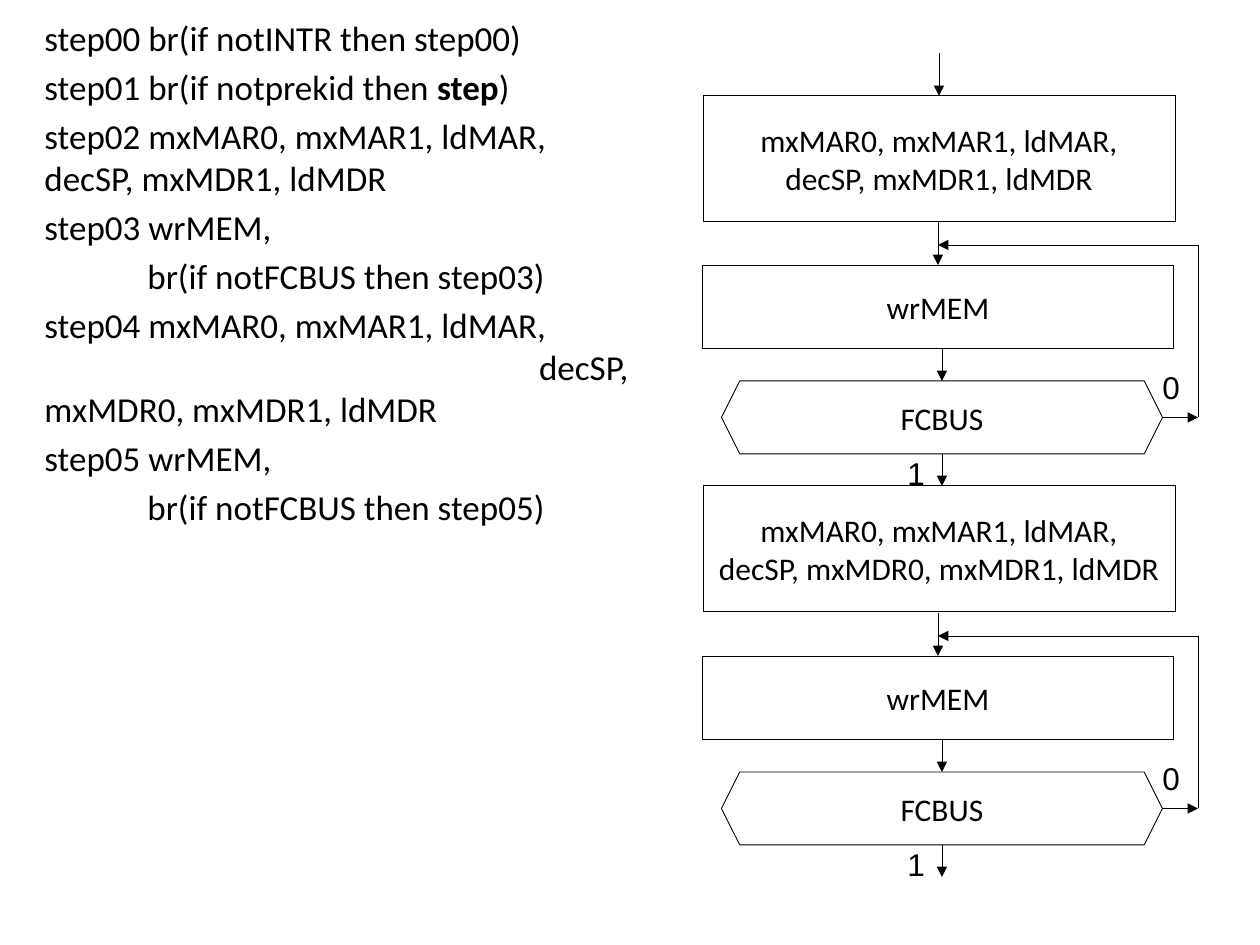
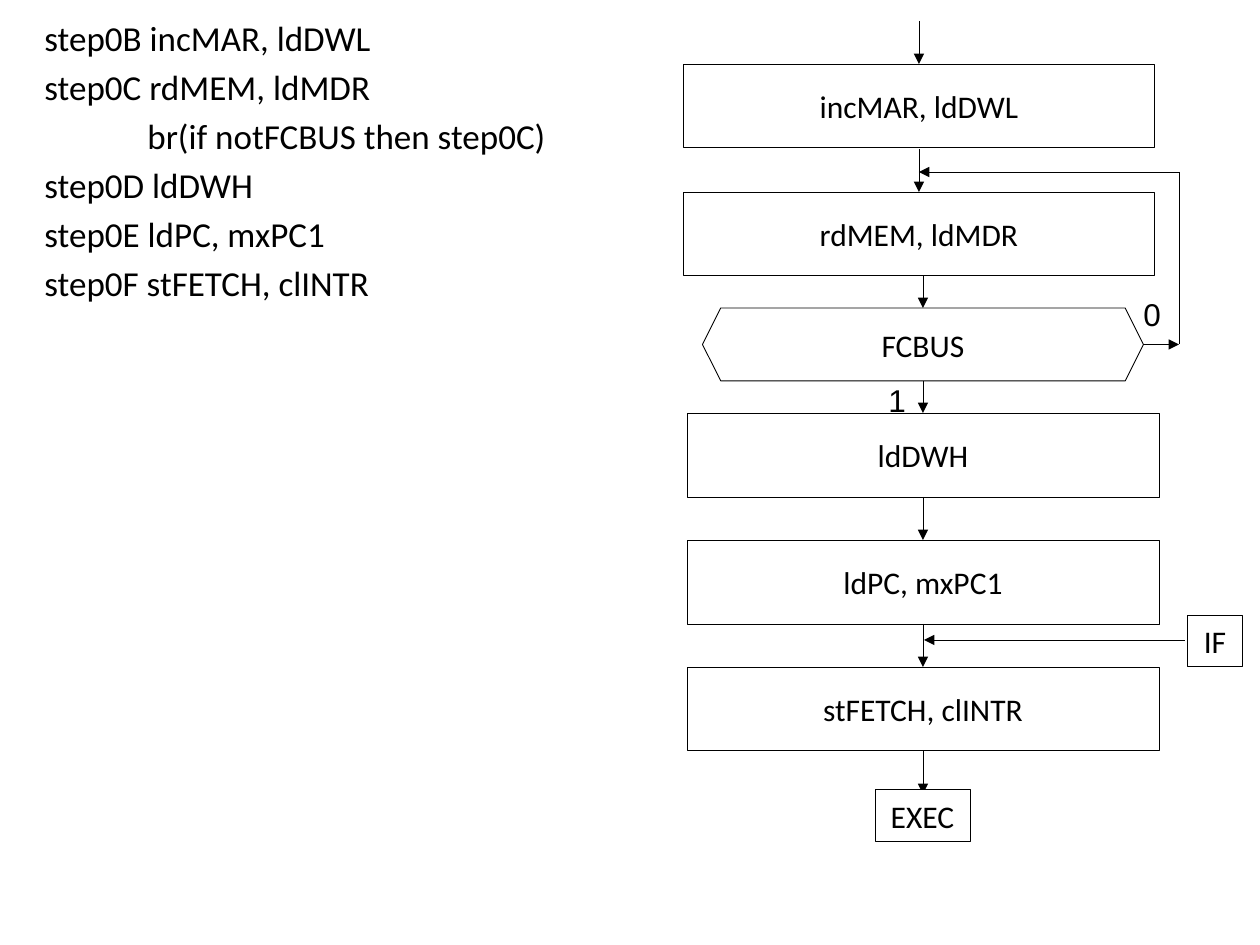
import pptx
import pptx.util
import pptx.dml.color
import pptx.enum.shapes
import pptx.enum.text
import pptx.oxml.ns
import lxml.etree

BLACK = pptx.dml.color.RGBColor(0x00, 0x00, 0x00)
WHITE = pptx.dml.color.RGBColor(0xFF, 0xFF, 0xFF)
PIXEL = 914400 / 126
LINE_WIDTH = pptx.util.Pt(0.5)
RECTANGLE = pptx.enum.shapes.MSO_SHAPE.RECTANGLE
HEXAGON = pptx.enum.shapes.MSO_SHAPE.HEXAGON
ALIGN = pptx.enum.text.PP_ALIGN

GAP = 43
BOX_WIDTH = 472
SINGLE, DOUBLE = 84, 126
BRANCH_INDENT = 103
RIGHT_TAB = 584

SLIDES = [
    {
        "program": [
            (0, "step00 br(if notINTR then step00)"),
            (0, "step01 br(if notprekid then *step*)"),
            (0, "step02 mxMAR0, mxMAR1, ldMAR,\ndecSP, mxMDR1, ldMDR"),
            (0, "step03 wrMEM,"),
            (1, "br(if notFCBUS then step03)"),
            (0, "step04 mxMAR0, mxMAR1, ldMAR,\n\tdecSP,\nmxMDR0, mxMDR1, ldMDR"),
            (0, "step05 wrMEM,"),
            (1, "br(if notFCBUS then step05)"),
        ],
        "operations": [
            (939, 96, DOUBLE, "mxMAR0, mxMAR1, ldMAR,\ndecSP, mxMDR1, ldMDR", True),
            (939, 486, DOUBLE, "mxMAR0, mxMAR1, ldMAR,\ndecSP, mxMDR0, mxMDR1, ldMDR", False),
        ],
        "wait_loops": [(938, 265, "wrMEM"), (938, 656, "wrMEM")],
        "arrows": [],
        "terminals": [],
    },
    {
        "program": [
            (0, "step0B incMAR, ldDWL"),
            (0, "step0C rdMEM, ldMDR"),
            (1, "br(if notFCBUS then step0C)"),
            (0, "step0D ldDWH"),
            (0, "step0E ldPC, mxPC1"),
            (0, "step0F stFETCH, clINTR"),
        ],
        "operations": [
            (919, 64, SINGLE, "incMAR, ldDWL", True),
            (923, 413, SINGLE, "ldDWH", False),
            (923, 540, SINGLE, "ldPC, mxPC1", True),
            (923, 667, SINGLE, "stFETCH, clINTR", True),
        ],
        "wait_loops": [(919, 192, "rdMEM, ldMDR")],
        "arrows": [(923, 751, 923, 794), (1185, 640, 924, 640)],
        "terminals": [(875, 790, 95, 52, "EXEC"), (1187, 615, 56, 52, "IF")],
    },
]


def emu(*pixels):
    return [pptx.util.Emu(round(value * PIXEL)) for value in pixels]


def style_font(font, name, size):
    font.name = name
    font.size = pptx.util.Pt(size)
    font.color.rgb = BLACK


def add_line(slide, start_x, start_y, end_x, end_y, arrow=True):
    connector = slide.shapes.add_connector(
        pptx.enum.shapes.MSO_CONNECTOR.STRAIGHT, *emu(start_x, start_y, end_x, end_y))
    connector.line.color.rgb = BLACK
    connector.line.width = LINE_WIDTH
    if arrow:
        head = lxml.etree.SubElement(
            connector.line._get_or_add_ln(), pptx.oxml.ns.qn("a:tailEnd"))
        head.set("type", "triangle")
    lxml.etree.SubElement(connector._element.spPr, pptx.oxml.ns.qn("a:effectLst"))


def add_node(slide, kind, left, top, width, height, text):
    shape = slide.shapes.add_shape(kind, *emu(left, top, width, height))
    shape.shadow.inherit = False
    shape.fill.solid()
    shape.fill.fore_color.rgb = WHITE
    shape.line.color.rgb = BLACK
    shape.line.width = LINE_WIDTH
    if kind == HEXAGON:
        shape.adjustments[0] = 0.25
    frame = shape.text_frame
    frame.text = text
    frame.vertical_anchor = pptx.enum.text.MSO_ANCHOR.MIDDLE
    for paragraph in frame.paragraphs:
        paragraph.alignment = ALIGN.CENTER
        style_font(paragraph.runs[0].font, "Calibri", 18)


def add_label(slide, left, top, text):
    frame = slide.shapes.add_textbox(*emu(left, top, 43, 50)).text_frame
    frame.word_wrap = False
    frame.text = text
    style_font(frame.paragraphs[0].runs[0].font, "Arial", 18)


def add_operation(slide, axis, top, height, text, incoming=True):
    add_node(slide, RECTANGLE, axis - BOX_WIDTH / 2, top, BOX_WIDTH, height, text)
    if incoming:
        add_line(slide, axis, top - GAP, axis, top)


def add_wait_loop(slide, axis, top, text):
    add_operation(slide, axis, top, SINGLE, text)
    center, width, height = axis + 4, 441, 73
    test_top = top + SINGLE + 32
    test_middle = test_top + height / 2
    test_bottom = test_top + height
    test_right = center + width / 2
    return_x, return_y = axis + 260, top - 20
    add_node(slide, HEXAGON, center - width / 2, test_top, width, height, "FCBUS")
    add_line(slide, center, top + SINGLE, center, test_top)
    add_line(slide, center, test_bottom, center, test_bottom + 32)
    add_line(slide, test_right, test_middle, return_x, test_middle)
    add_line(slide, return_x, return_y, return_x, test_middle, arrow=False)
    add_line(slide, return_x, return_y, axis, return_y)
    add_label(slide, axis + 212, test_top - 19, "0")
    add_label(slide, axis - 43, test_bottom - 6, "1")


def add_tab_stop(paragraph):
    properties = paragraph._p.get_or_add_pPr()
    stops = lxml.etree.SubElement(properties, pptx.oxml.ns.qn("a:tabLst"))
    stop = lxml.etree.SubElement(stops, pptx.oxml.ns.qn("a:tab"))
    stop.set("pos", str(emu(RIGHT_TAB)[0]))
    stop.set("algn", "r")


def add_program(slide, steps):
    frame = slide.shapes.add_textbox(*emu(32, 10, 611, 924)).text_frame
    frame.word_wrap = True
    for number, (level, text) in enumerate(steps):
        paragraph = frame.add_paragraph() if number else frame.paragraphs[0]
        paragraph.alignment = ALIGN.LEFT if "\n" in text else ALIGN.JUSTIFY
        paragraph.space_before = pptx.util.Pt(4)
        if level:
            paragraph._p.get_or_add_pPr().set("marL", str(emu(BRANCH_INDENT)[0]))
        if "\t" in text:
            add_tab_stop(paragraph)
        for row, line in enumerate(text.split("\n")):
            if row:
                paragraph.add_line_break()
            for position, part in enumerate(line.split("*")):
                run = paragraph.add_run()
                run.text = part
                style_font(run.font, "Calibri", 20)
                run.font.bold = position % 2 == 1


presentation = pptx.Presentation()
presentation.slide_width, presentation.slide_height = emu(1260, 945)
for content in SLIDES:
    slide = presentation.slides.add_slide(presentation.slide_layouts[6])
    for operation in content["operations"]:
        add_operation(slide, *operation)
    for wait_loop in content["wait_loops"]:
        add_wait_loop(slide, *wait_loop)
    for arrow in content["arrows"]:
        add_line(slide, *arrow)
    for terminal in content["terminals"]:
        add_node(slide, RECTANGLE, *terminal)
    add_program(slide, content["program"])
presentation.save("out.pptx")
